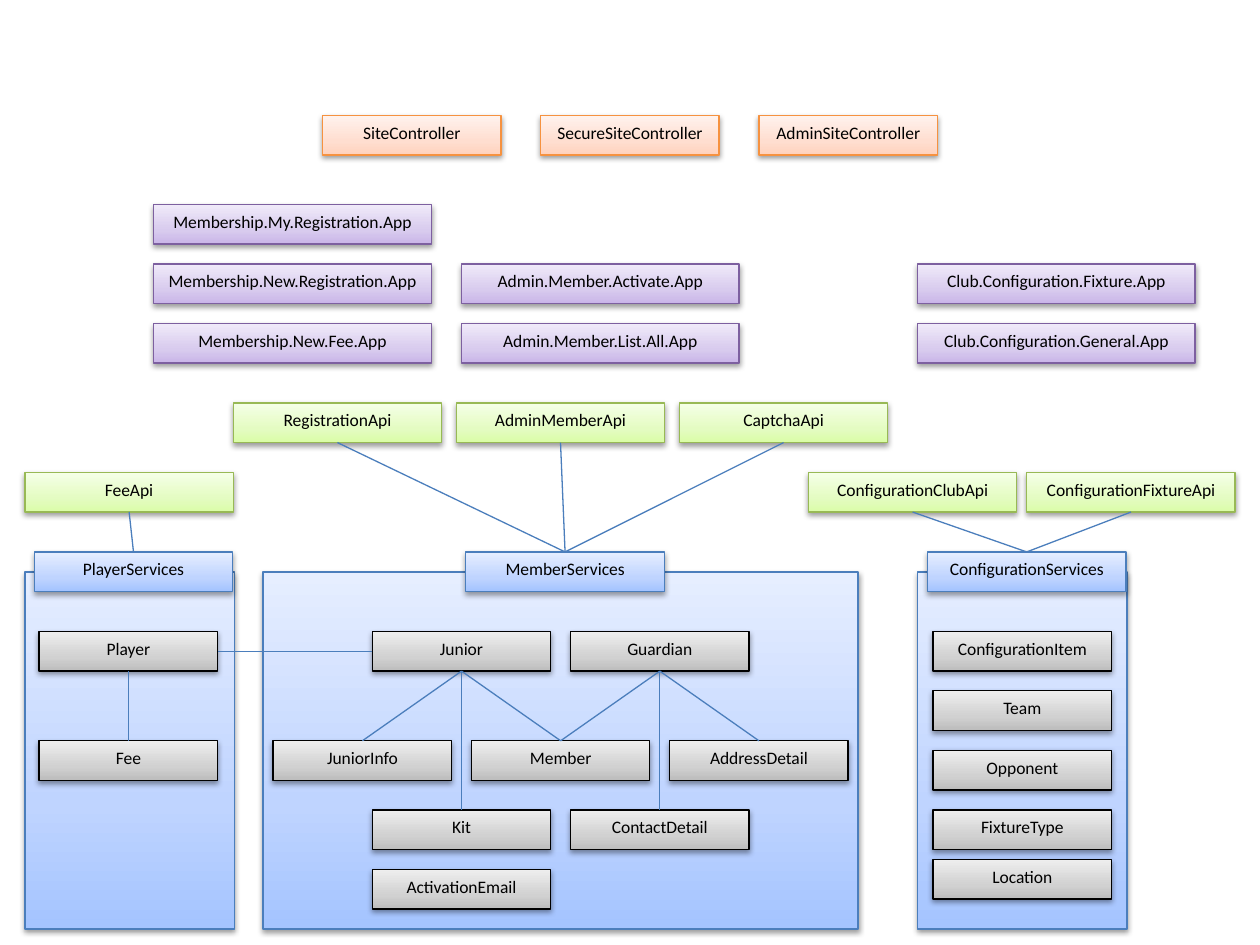
from lxml.etree import SubElement
from pptx import Presentation
from pptx.dml.color import RGBColor
from pptx.enum.shapes import MSO_CONNECTOR as Connector, MSO_SHAPE as Shape
from pptx.enum.text import MSO_ANCHOR as Anchor, PP_ALIGN as Align
from pptx.oxml.ns import qn
from pptx.util import Pt

# Gradient stops run from the bottom edge to the top edge
COLORS = {
    "controller": {"line": "F69240", "stops": ("FFD2BD", "FFDED0", "FFF2ED")},
    "app": {"line": "7D60A0", "stops": ("C9B5E8", "D8CBEE", "F0EAF9")},
    "api": {"line": "98B955", "stops": ("DAFDA7", "E4FCC2", "F5FFE7")},
    "service": {"line": "4B7EBC", "stops": ("A4C4FF", "BFD4FF", "E6EEFF")},
    "entity": {"line": "000000", "stops": ("BDBDBD", "D1D1D1", "EEEEEE")},
    "text": "000000",
    "link": "4B7EBC",
    "shadow": "000000",
}
STOP_POSITIONS = (0, 35, 100)
BOX_HEIGHT = 22.6
WIDTHS = {"controller": 102, "app": 158.7, "api": 119, "service": 113.4, "entity": 102}
BOTTOM, TOP, LEFT, RIGHT = 2, 0, 1, 3

# Panels: left, width
PANEL_TOP, PANEL_HEIGHT = 326.8, 204
PANELS = [(150.3, 340), (14.3, 119.8), (524.2, 119.8)]

# Columns and rows of the boxes
APP_ROWS = [116.9 + 34 * row for row in range(3)]
MEMBER_COLUMNS = [156.1 + 56.65 * column for column in range(5)]
API_COLUMNS = [133.3 + 127.5 * column for column in range(3)]
API_TOP, API_LOW, SERVICE_TOP = 230.3, 270, 315.4
ROOT_ROW, CHILD_ROW, DETAIL_ROW, EMAIL_ROW = 360.9, 423.3, 462.8, 496.9
PLAYER_COLUMN, CONFIGURATION_COLUMN = 22.4, 533.2

BOXES = {
    "controller": [
        (name, 184.3 + 124.7 * index, 66)
        for index, name in enumerate(
            ["SiteController", "SecureSiteController", "AdminSiteController"])
    ],
    "app": [
        ("Membership.My.Registration.App", 87.7, APP_ROWS[0]),
        ("Membership.New.Registration.App", 87.7, APP_ROWS[1]),
        ("Membership.New.Fee.App", 87.7, APP_ROWS[2]),
        ("Admin.Member.Activate.App", 263.6, APP_ROWS[1]),
        ("Admin.Member.List.All.App", 263.6, APP_ROWS[2]),
        ("Club.Configuration.Fixture.App", 524.2, APP_ROWS[1]),
        ("Club.Configuration.General.App", 524.2, APP_ROWS[2]),
    ],
    "api": [
        ("RegistrationApi", API_COLUMNS[0], API_TOP),
        ("AdminMemberApi", API_COLUMNS[1], API_TOP),
        ("CaptchaApi", API_COLUMNS[2], API_TOP),
        ("FeeApi", 14.3, API_LOW),
        ("ConfigurationClubApi", 462, API_LOW),
        ("ConfigurationFixtureApi", 586.8, API_LOW),
    ],
    "service": [
        ("PlayerServices", 19.6, SERVICE_TOP),
        ("MemberServices", 266.2, SERVICE_TOP),
        ("ConfigurationServices", 530, SERVICE_TOP),
    ],
    "entity": [
        ("Player", PLAYER_COLUMN, ROOT_ROW),
        ("Fee", PLAYER_COLUMN, CHILD_ROW),
        ("Junior", MEMBER_COLUMNS[1], ROOT_ROW),
        ("Guardian", MEMBER_COLUMNS[3], ROOT_ROW),
        ("JuniorInfo", MEMBER_COLUMNS[0], CHILD_ROW),
        ("Member", MEMBER_COLUMNS[2], CHILD_ROW),
        ("AddressDetail", MEMBER_COLUMNS[4], CHILD_ROW),
        ("Kit", MEMBER_COLUMNS[1], DETAIL_ROW),
        ("ContactDetail", MEMBER_COLUMNS[3], DETAIL_ROW),
        ("ActivationEmail", MEMBER_COLUMNS[1], EMAIL_ROW),
        ("ConfigurationItem", CONFIGURATION_COLUMN, ROOT_ROW),
        ("Team", CONFIGURATION_COLUMN, 394.7),
        ("Opponent", CONFIGURATION_COLUMN, 428.8),
        ("FixtureType", CONFIGURATION_COLUMN, DETAIL_ROW),
        ("Location", CONFIGURATION_COLUMN, 491.2),
    ],
}

# Each upper box and the boxes below it
LINKS = {
    "FeeApi": ["PlayerServices"],
    "RegistrationApi": ["MemberServices"],
    "AdminMemberApi": ["MemberServices"],
    "CaptchaApi": ["MemberServices"],
    "ConfigurationClubApi": ["ConfigurationServices"],
    "ConfigurationFixtureApi": ["ConfigurationServices"],
    "Player": ["Fee"],
    "Junior": ["JuniorInfo", "Kit", "Member"],
    "Guardian": ["Member", "ContactDetail", "AddressDetail"],
}


def add_gradient(shape, colors):
    shape.fill.gradient()
    shape.fill.gradient_angle = 90
    stop_list = shape.element.spPr.find(".//" + qn("a:gsLst"))
    for stop in list(stop_list):
        stop_list.remove(stop)
    for position, color in zip(STOP_POSITIONS, colors):
        stop = SubElement(stop_list, qn("a:gs"), pos=str(position * 1000))
        SubElement(stop, qn("a:srgbClr"), val=color)


def add_shadow(shape):
    shape.shadow.inherit = False
    effects = shape.element.spPr.find(qn("a:effectLst"))
    shadow = SubElement(effects, qn("a:outerShdw"), blurRad="40000", dist="20000",
                        dir="5400000", rotWithShape="0")
    color = SubElement(shadow, qn("a:srgbClr"), val=COLORS["shadow"])
    SubElement(color, qn("a:alpha"), val="38000")


def add_box(slide, kind, left, top, width, height, text=""):
    shape = slide.shapes.add_shape(
        Shape.RECTANGLE, Pt(left), Pt(top), Pt(width), Pt(height))
    add_gradient(shape, COLORS[kind]["stops"])
    shape.line.color.rgb = RGBColor.from_string(COLORS[kind]["line"])
    shape.line.width = Pt(0.75)
    add_shadow(shape)
    if text:
        frame = shape.text_frame
        frame.text = text
        frame.vertical_anchor = Anchor.TOP
        paragraph = frame.paragraphs[0]
        paragraph.alignment = Align.CENTER
        font = paragraph.runs[0].font
        font.name, font.size = "Calibri", Pt(10)
        font.color.rgb = RGBColor.from_string(COLORS["text"])
    return shape


def add_link(slide, start, end, start_side=BOTTOM, end_side=TOP):
    link = slide.shapes.add_connector(Connector.STRAIGHT, 0, 0, 0, 0)
    link.begin_connect(start, start_side)
    link.end_connect(end, end_side)
    link.line.color.rgb = RGBColor.from_string(COLORS["link"])
    link.line.width = Pt(0.75)
    SubElement(link.element.spPr, qn("a:effectLst"))


def main():
    presentation = Presentation()
    presentation.slide_width, presentation.slide_height = Pt(720), Pt(540)
    slide = presentation.slides.add_slide(presentation.slide_layouts[6])

    # Service panels behind the boxes
    for left, width in PANELS:
        add_box(slide, "service", left, PANEL_TOP, width, PANEL_HEIGHT)

    # Labelled boxes
    shapes = {}
    for kind, boxes in BOXES.items():
        for name, left, top in boxes:
            shapes[name] = add_box(slide, kind, left, top, WIDTHS[kind], BOX_HEIGHT, name)

    # Links between the boxes
    for upper, lower_names in LINKS.items():
        for lower in lower_names:
            add_link(slide, shapes[upper], shapes[lower])
    add_link(slide, shapes["Junior"], shapes["Player"], LEFT, RIGHT)

    presentation.save("out.pptx")


main()
